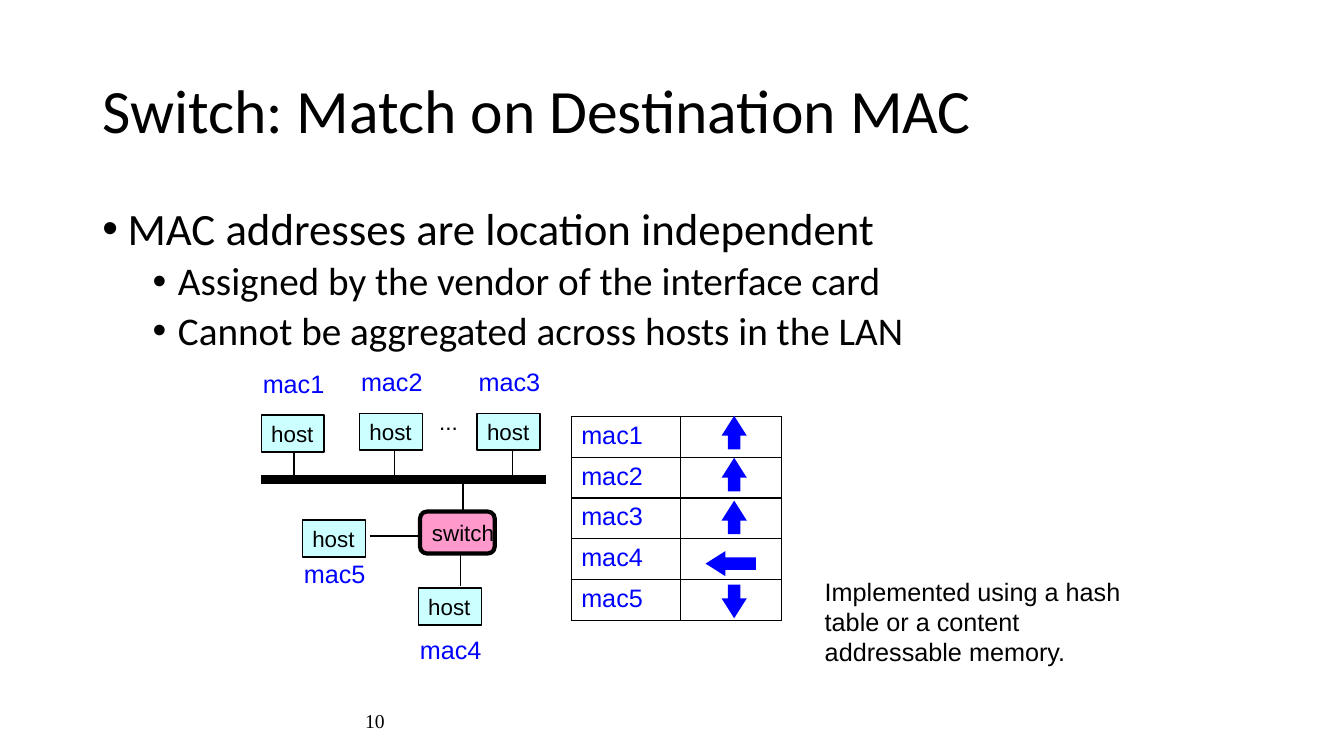
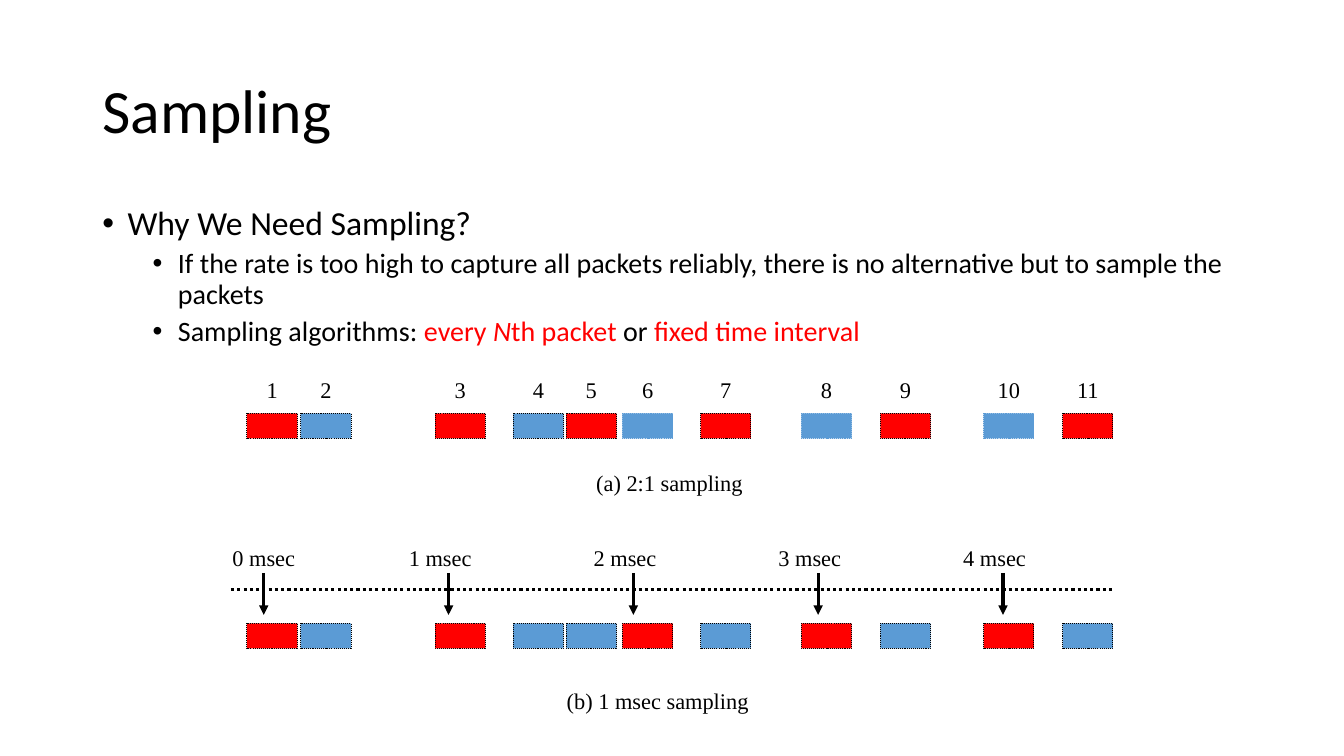
from lxml import etree
from pptx import Presentation
from pptx.dml.color import RGBColor
from pptx.enum.dml import MSO_LINE
from pptx.enum.shapes import MSO_CONNECTOR, MSO_SHAPE
from pptx.enum.text import MSO_ANCHOR, PP_ALIGN
from pptx.oxml.ns import qn
from pptx.util import Emu, Inches, Pt

LEFT, CENTER, RIGHT = PP_ALIGN.LEFT, PP_ALIGN.CENTER, PP_ALIGN.RIGHT
TOP, MIDDLE = MSO_ANCHOR.TOP, MSO_ANCHOR.MIDDLE
RECT, ROUNDED = MSO_SHAPE.RECTANGLE, MSO_SHAPE.ROUNDED_RECTANGLE
UP, DOWN, AWAY = MSO_SHAPE.UP_ARROW, MSO_SHAPE.DOWN_ARROW, MSO_SHAPE.LEFT_ARROW
STRAIGHT = MSO_CONNECTOR.STRAIGHT
DOTTED = MSO_LINE.ROUND_DOT

COLUMNS, ROWS = 160, 90
COLORS = {
    "ink": "000000",
    "address": "0000FF",
    "host": "CCFFFF",
    "switch": "FF99CC",
    "sampled": "FF0000",
    "skipped": "5B9BD5",
}
HEADING, LABEL, SERIF = "Calibri", "Arial", "Times New Roman"


def rgb(color):
    return RGBColor.from_string(COLORS[color])


def write(paragraph, text, size=16, font=LABEL, color="ink", italic=False, align=LEFT):
    paragraph.alignment = align
    run = paragraph.add_run()
    run.text = text
    run.font.size = Pt(size)
    run.font.name = font
    run.font.italic = italic
    run.font.color.rgb = rgb(color)


class Deck:
    def __init__(self):
        self.presentation = Presentation()
        self.presentation.slide_width = Inches(13.33)
        self.presentation.slide_height = Inches(7.5)
        self.slide = None

    def x(self, columns):
        return Emu(round(self.presentation.slide_width * columns / COLUMNS))

    def y(self, rows):
        return Emu(round(self.presentation.slide_height * rows / ROWS))

    def box(self, left, top, width, height):
        return self.x(left), self.y(top), self.x(width), self.y(height)

    def new_slide(self, title):
        self.slide = self.presentation.slides.add_slide(self.presentation.slide_layouts[6])
        frame = self.frame(11, 4.8, 138, 17.4, anchor=MIDDLE, wrap=True)
        frame.paragraphs[0].line_spacing = 0.9
        write(frame.paragraphs[0], title, size=44, font=HEADING)

    def frame(self, left, top, width, height, anchor=TOP, wrap=False):
        frame = self.slide.shapes.add_textbox(*self.box(left, top, width, height)).text_frame
        frame.word_wrap = wrap
        frame.vertical_anchor = anchor
        return frame

    def label(self, text, left, top, width, height, anchor=TOP, wrap=False, **style):
        write(self.frame(left, top, width, height, anchor, wrap).paragraphs[0], text, **style)

    def bullets(self, items, sizes):
        frame = self.frame(11, 24, 138, 57.1, wrap=True)
        for index, (level, runs) in enumerate(items):
            paragraph = frame.paragraphs[0] if index == 0 else frame.add_paragraph()
            paragraph.level = level
            properties = paragraph._p.get_or_add_pPr()
            properties.set("marL", str(Inches(0.25 + 0.5 * level)))
            properties.set("indent", str(-Inches(0.25)))
            etree.SubElement(properties, qn("a:buFont"), typeface="Arial")
            etree.SubElement(properties, qn("a:buChar"), char="•")
            paragraph.line_spacing = 0.9
            paragraph.space_before = Pt(5 if index else 0)
            for text, style in runs:
                write(paragraph, text, size=sizes[level], font=HEADING, **style)

    def shape(self, kind, left, top, width, height, fill, outline=None, weight=1, dash=None, text=""):
        shape = self.slide.shapes.add_shape(kind, *self.box(left, top, width, height))
        shape.shadow.inherit = False
        shape.fill.solid()
        shape.fill.fore_color.rgb = rgb(fill)
        if outline:
            shape.line.color.rgb = rgb(outline)
            shape.line.width = Pt(weight)
            shape.line.dash_style = dash
        else:
            shape.line.fill.background()
        if text:
            shape.text_frame.word_wrap = False
            shape.text_frame.vertical_anchor = MIDDLE
            write(shape.text_frame.paragraphs[0], text)
        return shape

    def line(self, x1, y1, x2, y2, weight=1, dash=None, arrow=False):
        line = self.slide.shapes.add_connector(STRAIGHT, self.x(x1), self.y(y1), self.x(x2), self.y(y2))
        line.line.color.rgb = rgb("ink")
        line.line.width = Pt(weight)
        line.line.dash_style = dash
        if arrow:
            etree.SubElement(line.line._get_or_add_ln(), qn("a:tailEnd"), type="triangle")
        etree.SubElement(line._element.spPr, qn("a:effectLst"))

    def table(self, rows, left, top, widths, row_height):
        place = self.box(left, top, sum(widths), row_height * len(rows))
        table = self.slide.shapes.add_table(len(rows), len(widths), *place).table
        table.first_row = table.horz_banding = False
        for column, width in zip(table.columns, widths):
            column.width = self.x(width)
        for row, texts in zip(table.rows, rows):
            row.height = self.y(row_height)
            for cell, text in zip(row.cells, texts):
                write(cell.text_frame.paragraphs[0], text, size=18, color="address")
                self.border(cell)
                cell.fill.background()

    def border(self, cell):
        properties = cell._tc.get_or_add_tcPr()
        for side in ("a:lnL", "a:lnR", "a:lnT", "a:lnB"):
            edge = etree.SubElement(properties, qn(side), w=str(Pt(1)))
            paint = etree.SubElement(edge, qn("a:solidFill"))
            etree.SubElement(paint, qn("a:srgbClr"), val=COLORS["ink"])


def switch_slide(deck):
    deck.new_slide("Switch: Match on Destination MAC")
    deck.bullets([
        (0, [("MAC addresses are location independent", {})]),
        (1, [("Assigned by the vendor of the interface card", {})]),
        (1, [("Cannot be aggregated across hosts in the LAN", {})]),
    ], sizes=(32, 28))
    deck.label("10", 11, 83.4, 36, 4.8, anchor=MIDDLE, size=14, font=SERIF, align=RIGHT)

    hosts = [
        ("mac1", 31.1, 49.4, -6.2),
        ("mac2", 42.8, 49.2, -6.2),
        ("mac3", 56.8, 49.2, -6.2),
        ("mac4", 49.8, 70, 4.9),
        ("mac5", 36, 61.9, 4),
    ]
    deck.table([(host[0], "") for host in hosts], 68, 49.6, (13, 12), 4.85)

    bus = 57.1
    deck.line(31.1, bus, 65, bus, weight=6)
    for drop in (35, 47, 61):
        deck.line(drop, 53, drop, bus)
    deck.line(55.1, bus, 55.1, 61.1)
    deck.line(54.8, 65.9, 54.8, 69.8)
    deck.line(44, 63.8, 50, 63.8)
    for address, left, top, label_shift in hosts:
        deck.shape(RECT, left, top, 7.5, 4.4, "host", "ink", text="host")
        deck.label(address, left - 1, top + label_shift, 9.7, 4.8, size=18, color="address")
    deck.label("...", 51.1, 48, 4.7, 4.4, anchor=MIDDLE)
    deck.shape(ROUNDED, 50, 60.9, 8.9, 5, "switch", "ink", weight=3, text="switch")

    ports = [(UP, 51.5), (UP, 56.5), (UP, 61.6), (AWAY, 67.1), (DOWN, 71.6)]
    for direction, middle in ports:
        width, height = (6, 3) if direction == AWAY else (3, 4)
        center = 87 if direction == AWAY else 87.4
        port = deck.shape(direction, center - width / 2, middle - height / 2, width, height, "address")
        port.adjustments[1] = 0.79
    deck.label("Implemented using a hash table or a content addressable memory.",
               97, 68, 40, 12.1, wrap=True, size=18)


def sampling_slide(deck):
    red = {"color": "sampled"}
    deck.new_slide("Sampling")
    deck.bullets([
        (0, [("Why We Need Sampling?", {})]),
        (1, [("If the rate is too high to capture all packets reliably, "
              "there is no alternative but to sample the packets", {})]),
        (1, [("Sampling algorithms: ", {}), ("every ", red), ("N", {"italic": True, **red}),
             ("th packet ", red), ("or", {}), (" fixed time interval", red)]),
    ], sizes=(24, 20))

    caption = {"size": 16, "font": SERIF, "align": CENTER}
    packets = (29.4, 35.8, 51.8, 61.1, 67.4, 74.1, 83.4, 95.4, 104.8, 117.1, 126.5)
    streams = [
        (49.2, (1, 3, 5, 7, 9, 11), (6, 8, 10)),
        (74.2, (1, 3, 6, 8, 10), ()),
    ]
    for top, sampled, blue_edged in streams:
        for number, left in enumerate(packets, 1):
            fill = "sampled" if number in sampled else "skipped"
            edge = "skipped" if number in blue_edged else "ink"
            deck.shape(RECT, left, top, 6, 3, fill, edge, weight=0.75, dash=DOTTED)
    for number, left in enumerate(packets, 1):
        deck.label(str(number), left, 44.2, 6, 4.4, **caption)
    deck.label("(a) 2:1 sampling", 64.7, 55.2, 30, 4.4, **caption)
    deck.label("(b) 1 msec sampling", 63.3, 81.2, 30, 4.4, **caption)

    deck.line(27.5, 70.2, 132.5, 70.2, weight=2.25, dash=DOTTED)
    for msec in range(5):
        tick = 31.4 + 22 * msec
        center = tick - 1 if msec else tick
        deck.label(f"{msec} msec", center - 7, 64.2, 14, 4.4, **caption)
        deck.line(tick, 68.2, tick, 73.2, weight=2.25, arrow=True)


def main():
    deck = Deck()
    switch_slide(deck)
    sampling_slide(deck)
    deck.presentation.save("out.pptx")


if __name__ == "__main__":
    main()
